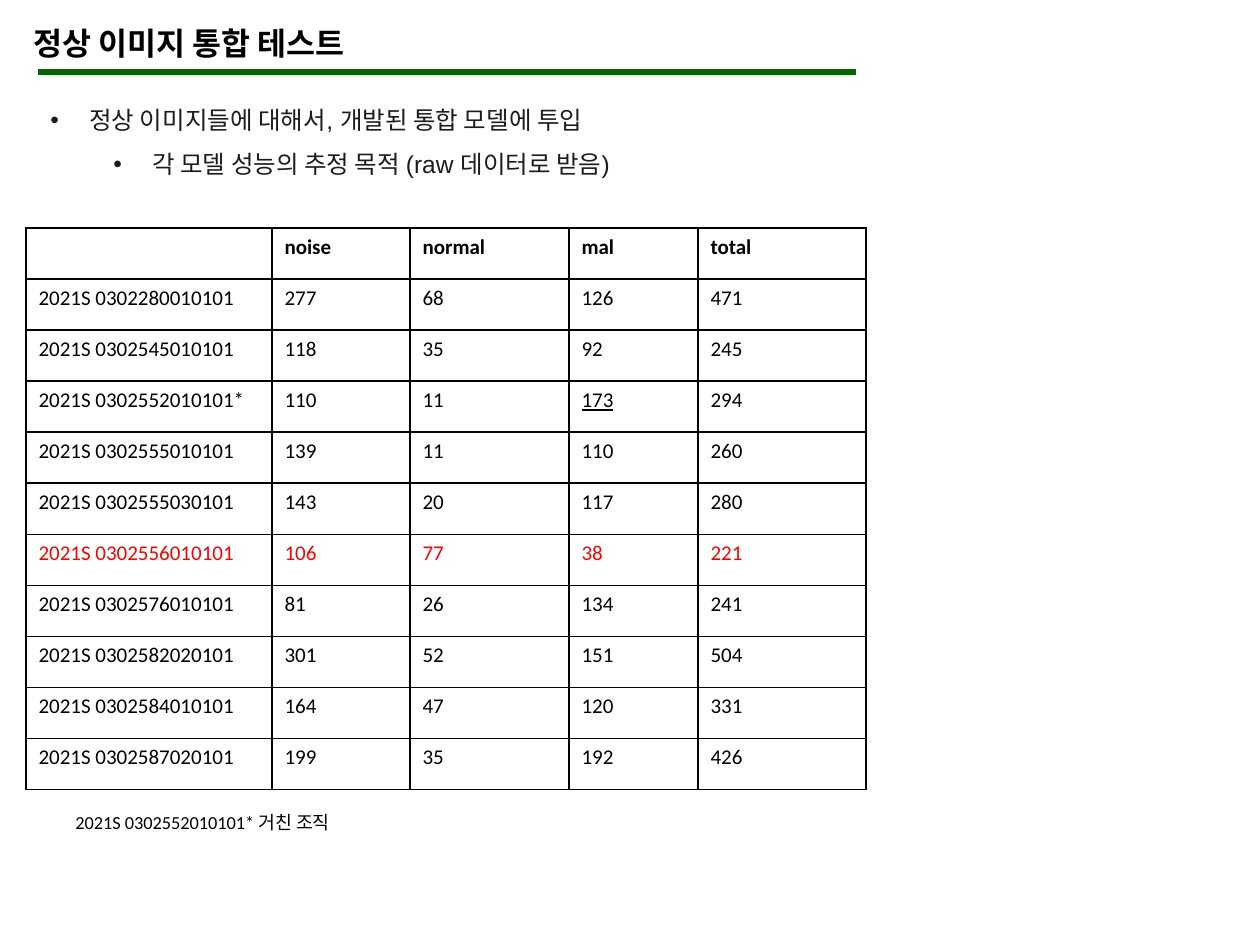
from dataclasses import dataclass

from lxml import etree
from pptx import Presentation
from pptx import util as u
from pptx.dml.color import RGBColor
from pptx.enum import shapes, text
from pptx.oxml import parse_xml
from pptx.oxml.ns import nsdecls, qn


@dataclass(frozen=True)
class Theme:
    black: str = "000000"
    ink: str = "1D1C1D"
    white: str = "FFFFFF"
    green: str = "006600"
    red: str = "FF0000"
    title: float = 18
    body: float = 14
    table: float = 12
    note: float = 10.5
    heading_font: str = "Calibri"
    body_font: str = "Arial"


theme = Theme()
EMU_PER_PX = u.Inches(1) / 126


def px(length):
    return u.Emu(round(length * EMU_PER_PX))


def add_span(para, words, size, font=theme.heading_font, color=theme.black, bold=False):
    span = para.add_run()
    span.text = words
    span.font.size = u.Pt(size)
    span.font.name = font
    span.font.bold = bold
    span.font.color.rgb = RGBColor.from_string(color)
    return span


deck = Presentation()
deck.slide_width, deck.slide_height = px(1260), px(945)
page = deck.slides.add_slide(deck.slide_layouts[6])

# Text boxes: title, bullets, footnote
frames = []
for left, top, width, height, wrap in [
    (21, 18, 742, 50, True),
    (38, 84, 1145, 102, True),
    (63, 805, 291, 35, False),
]:
    box = page.shapes.add_textbox(px(left), px(top), px(width), px(height))
    box.text_frame.word_wrap = wrap
    box.text_frame.auto_size = text.MSO_AUTO_SIZE.SHAPE_TO_FIT_TEXT
    frames.append(box.text_frame)
title, bullets, footnote = frames

add_span(title.paragraphs[0], "정상 이미지 통합 테스트", theme.title, bold=True)
add_span(footnote.paragraphs[0], "2021S 0302552010101* 거친 조직", theme.note)

# Bullets on two levels
for level, words in enumerate([
    "정상 이미지들에 대해서, 개발된 통합 모델에 투입",
    "각 모델 성능의 추정 목적 (raw 데이터로 받음)",
]):
    para = bullets.add_paragraph() if level else bullets.paragraphs[0]
    para.level = level
    para.line_spacing = 1.5
    props = para._p.get_or_add_pPr()
    props.set("marL", str(px(39 + 63 * level)))
    props.set("indent", str(-px(39)))
    etree.SubElement(props, qn("a:buFont"), typeface=theme.body_font)
    etree.SubElement(props, qn("a:buChar"), char="•")
    add_span(para, words, theme.body, theme.body_font, theme.ink)

# Rule under the title
rule = page.shapes.add_connector(
    shapes.MSO_CONNECTOR.STRAIGHT, px(38), px(72), px(856), px(72))
rule.line.color.rgb = RGBColor.from_string(theme.green)
rule.line.width = u.Pt(3)
etree.SubElement(rule._element.spPr, qn("a:effectLst"))

# Result table: the total is the sum of the three classes
header = ["", "noise", "normal", "mal", "total"]
results = [
    ("2021S 0302280010101", 277, 68, 126),
    ("2021S 0302545010101", 118, 35, 92),
    ("2021S 0302552010101*", 110, 11, 173),
    ("2021S 0302555010101", 139, 11, 110),
    ("2021S 0302555030101", 143, 20, 117),
    ("2021S 0302556010101", 106, 77, 38),
    ("2021S 0302576010101", 81, 26, 134),
    ("2021S 0302582020101", 301, 52, 151),
    ("2021S 0302584010101", 164, 47, 120),
    ("2021S 0302587020101", 199, 35, 192),
]
RED_ROW = 6
UNDERLINED = (3, 3)
rows = [header] + [[*result, sum(result[1:])] for result in results]
widths = [246, 138, 159, 129, 168]

table = page.shapes.add_table(
    len(rows), len(widths), px(26), px(228), px(sum(widths)), px(562)).table
for column, width in zip(table.columns, widths):
    column.width = px(width)

for r, values in enumerate(rows):
    for c, value in enumerate(values):
        cell = table.cell(r, c)
        if value != "":
            span = add_span(cell.text_frame.paragraphs[0], str(value), theme.table,
                            color=theme.red if r == RED_ROW else theme.black,
                            bold=r == 0)
            if (r, c) == UNDERLINED:
                span.font.underline = True
        # Borders come before the fill in the cell properties
        for side in ("lnL", "lnR", "lnT", "lnB"):
            cell._tc.get_or_add_tcPr().append(parse_xml(
                f'<a:{side} {nsdecls("a")} w="{u.Pt(1)}"><a:solidFill>'
                f'<a:srgbClr val="{theme.black}"/></a:solidFill></a:{side}>'))
        cell.fill.solid()
        cell.fill.fore_color.rgb = RGBColor.from_string(theme.white)

deck.save("out.pptx")
